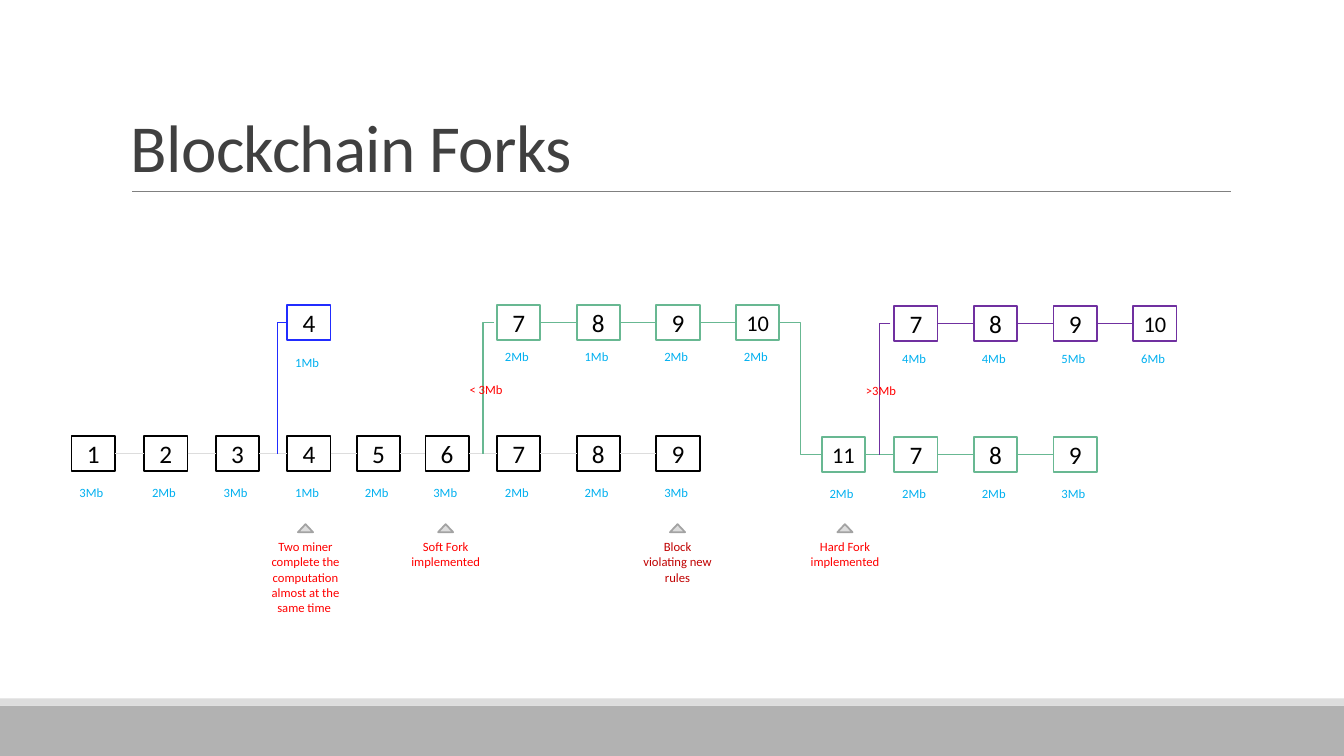
from lxml.etree import SubElement
from pptx import Presentation
from pptx.dml.color import RGBColor
from pptx.enum.shapes import MSO_CONNECTOR, MSO_SHAPE
from pptx.enum.text import MSO_ANCHOR, PP_ALIGN
from pptx.oxml.ns import qn
from pptx.util import Inches, Pt

BLACK, WHITE, GREEN, PURPLE, BLUE = "000000", "FFFFFF", "68B892", "7030A0", "212CFF"
PALE, SKY, RED, DARK_RED = "DDDDDD", "00B0F0", "FF0000", "C00000"
BLOCK_WIDTH, BLOCK_HEIGHT = 0.43, 0.35
UPPER, LOWER = 3.2, 4.5

MAIN_CHAIN = [(1, 0.71, "3Mb"), (2, 1.43, "2Mb"), (3, 2.14, "3Mb"),
              (4, 2.85, "1Mb"), (5, 3.54, "2Mb"), (6, 4.22, "3Mb"),
              (7, 4.93, "2Mb"), (8, 5.72, "2Mb"), (9, 6.51, "3Mb")]
SOFT_CHAIN = [(7, 4.93, "2Mb"), (8, 5.72, "1Mb"), (9, 6.51, "2Mb"), (10, 7.3, "2Mb")]
OLD_CHAIN = [(11, 8.15, "2Mb"), (7, 8.87, "2Mb"), (8, 9.66, "2Mb"), (9, 10.45, "3Mb")]
HARD_CHAIN = [(7, 8.87, "4Mb"), (8, 9.66, "4Mb"), (9, 10.45, "5Mb"), (10, 11.24, "6Mb")]
EVENTS = [
    (3.03, 0.86, "Two miner complete the computation almost at the same time ", RED),
    (4.42, 0.4, "Soft Fork implemented", RED),
    (6.72, 0.56, "Block violating new rules", DARK_RED),
    (8.38, 0.4, "Hard Fork implemented", RED),
]


def rgb(color):
    return RGBColor.from_string(color)


def write(frame, text, size, color, **paragraph_format):
    para = frame.paragraphs[0]
    for name, value in paragraph_format.items():
        setattr(para, name, value)
    span = para.add_run()
    span.text = text
    for name, value in {"name": "Calibri", "size": Pt(size)}.items():
        setattr(span.font, name, value)
    span.font.color.rgb = rgb(color)
    return span


def add_text(page, text, at, size, color, anchor=MSO_ANCHOR.TOP, **paragraph_format):
    box = page.shapes.add_textbox(*map(Inches, at))
    for name, value in {"word_wrap": True, "vertical_anchor": anchor}.items():
        setattr(box.text_frame, name, value)
    return write(box.text_frame, text, size, color, **paragraph_format)


def add_figure(page, kind, at, fill, line=None):
    figure = page.shapes.add_shape(kind, *map(Inches, at))
    figure.shadow.inherit = False
    figure.fill.solid()
    figure.fill.fore_color.rgb = rgb(fill)
    if line:
        figure.line.color.rgb = rgb(line)
        figure.line.width = Pt(1.25)
    else:
        figure.line.fill.background()
    return figure


def add_line(page, start, end, color, width=1, kind=MSO_CONNECTOR.STRAIGHT):
    line = page.shapes.add_connector(kind, *map(Inches, start + end))
    line.line.color.rgb = rgb(color)
    line.line.width = Pt(width)
    SubElement(line._element.spPr, qn("a:effectLst"))
    return line


def join(page, first, second, color, kind=MSO_CONNECTOR.STRAIGHT):
    link = add_line(page, (0, 0), (1, 1), color, kind=kind)
    link.begin_connect(first, 3)
    link.end_connect(second, 1)


def add_branch(page, right, left, top, color):
    branch = add_line(page, (right, top), (left, top + 1.3), color, kind=MSO_CONNECTOR.ELBOW)
    properties = branch._element.spPr
    properties.find(qn("a:prstGeom")).set("prst", "bentConnector2")
    frame = properties.find(qn("a:xfrm"))
    frame.attrib.pop("flipH")
    frame.set("rot", "10800000")
    frame.set("flipV", "1")


def add_chain(page, entries, middle, label_top, color, link_color):
    blocks = []
    for number, left, size in entries:
        at = (left, middle - BLOCK_HEIGHT / 2, BLOCK_WIDTH, BLOCK_HEIGHT)
        block = add_figure(page, MSO_SHAPE.RECTANGLE, at, WHITE, color)
        write(block.text_frame, str(number), 16 if number > 9 else 18, BLACK,
              alignment=PP_ALIGN.CENTER)
        add_text(page, size, (left - 0.02, label_top, 0.73, 0.25), 9, SKY)
        blocks.append(block)
    for first, second in zip(blocks, blocks[1:]):
        join(page, first, second, link_color)
    return blocks


def add_event(page, center, height, text, color):
    add_text(page, text, (center - 0.455, 5.3, 0.91, height), 9, color,
             alignment=PP_ALIGN.CENTER)
    add_figure(page, MSO_SHAPE.ISOSCELES_TRIANGLE, (center - 0.075, 5.2, 0.15, 0.08),
               PALE, "A3A3A3")


def add_frame(page):
    add_figure(page, MSO_SHAPE.RECTANGLE, (0, 7, 13.33, 0.5), "B2B2B2")
    add_figure(page, MSO_SHAPE.RECTANGLE, (0, 6.93, 13.33, 0.07), PALE)
    add_line(page, (1.31, 1.9), (12.21, 1.9), "808080", 0.5)
    title = add_text(page, "Blockchain Forks", (1.2, 0.31, 11, 1.59), 48, "404040",
                     MSO_ANCHOR.BOTTOM, line_spacing=0.85)
    title.font._element.set("spc", "-50")


def main():
    deck = Presentation()
    deck.slide_width, deck.slide_height = Inches(13.33), Inches(7.5)
    page = deck.slides.add_slide(deck.slide_layouts[6])
    add_frame(page)
    add_chain(page, MAIN_CHAIN, LOWER, 4.76, BLACK, PALE)
    add_chain(page, [(4, 2.85, "1Mb")], UPPER, 3.47, BLUE, BLUE)
    soft_blocks = add_chain(page, SOFT_CHAIN, UPPER, 3.41, GREEN, GREEN)
    old_blocks = add_chain(page, OLD_CHAIN, LOWER + 0.01, 4.77, GREEN, GREEN)
    add_chain(page, HARD_CHAIN, UPPER + 0.01, 3.43, PURPLE, PURPLE)
    join(page, soft_blocks[-1], old_blocks[0], GREEN, MSO_CONNECTOR.ELBOW)
    add_branch(page, 2.85, 2.75, UPPER, BLUE)
    add_branch(page, 4.9, 4.79, UPPER, GREEN)
    add_branch(page, 8.83, 8.72, UPPER + 0.01, PURPLE)
    add_text(page, "< 3Mb", (4.56, 3.74, 0.73, 0.25), 9, RED)
    add_text(page, ">3Mb", (8.49, 3.75, 0.73, 0.25), 9, RED)
    for event in EVENTS:
        add_event(page, *event)
    deck.save("out.pptx")


if __name__ == "__main__":
    main()
